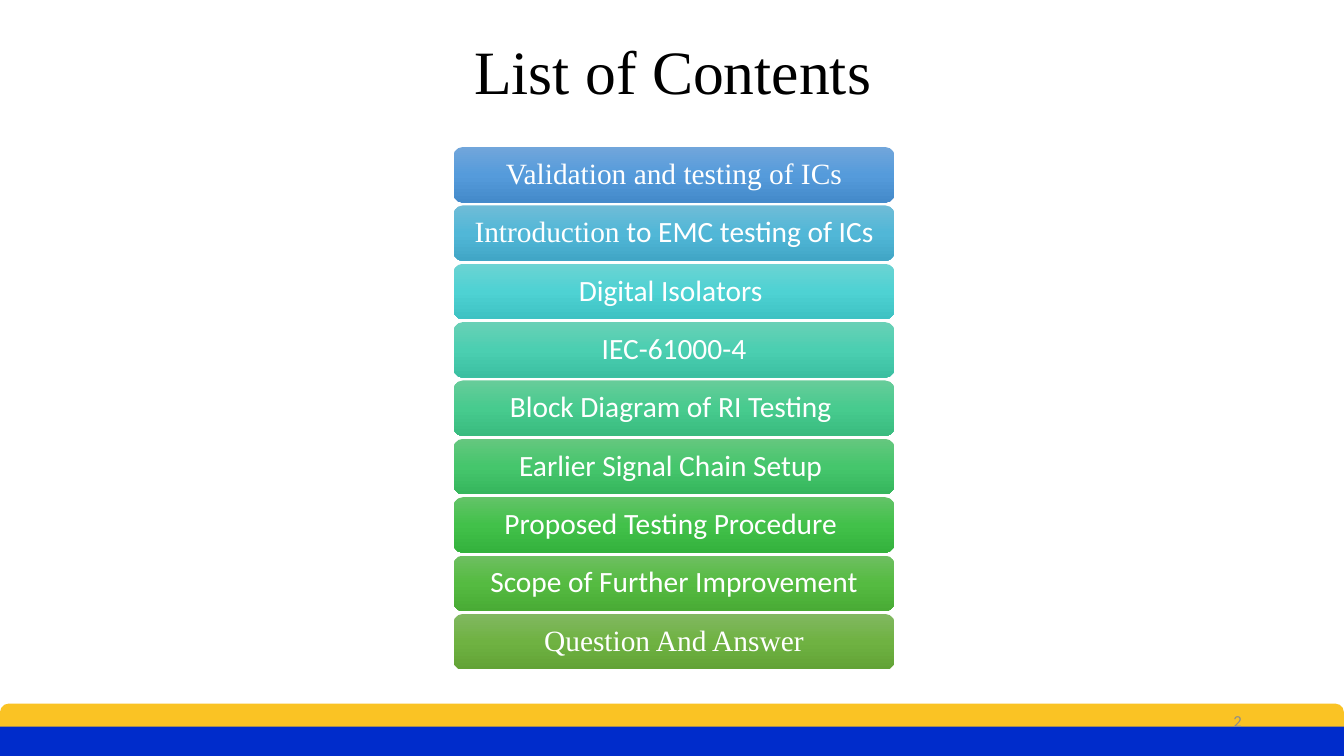
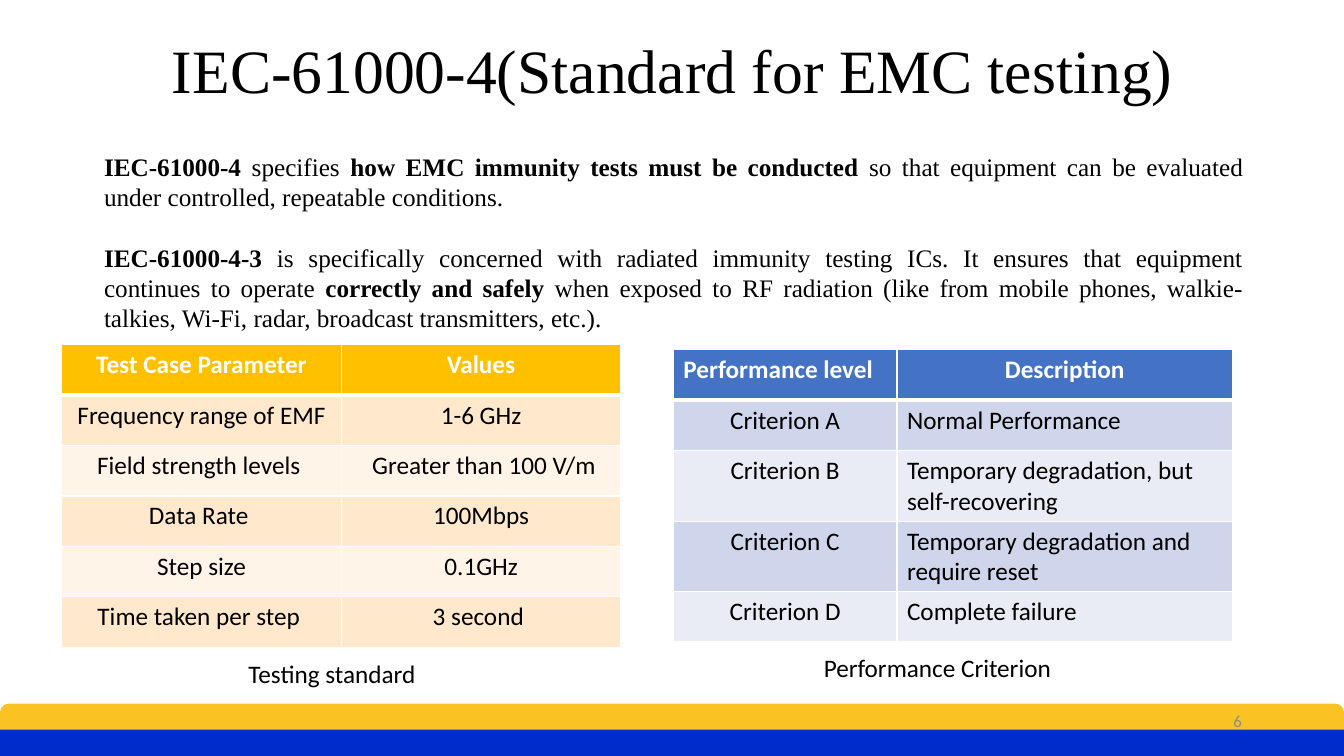
"""Build the contents slide and the IEC-61000-4 slide of a talk on EMC testing."""
import copy
from dataclasses import dataclass

import lxml.etree
import pptx
import pptx.dml.color
import pptx.enum.dml
import pptx.enum.shapes
import pptx.enum.text
import pptx.oxml.ns
import pptx.shapes.autoshape
import pptx.slide
import pptx.table
import pptx.text.text
import pptx.util

WIDTH, HEIGHT = pptx.util.Inches(13.33), pptx.util.Inches(7.5)
SERIF, SANS = "Times New Roman", "Calibri"
BLACK, WHITE, GREY = "000000", "FFFFFF", "8C8C8C"
YELLOW, BLUE = "FAC324", "002CCB"
ALIGN = pptx.enum.text.PP_ALIGN
ANCHOR = pptx.enum.text.MSO_ANCHOR
SHAPE = pptx.enum.shapes.MSO_SHAPE
TITLE_ONLY = 5


@dataclass(frozen=True)
class Area:
    """A place on the slide, in percent of its width and height."""
    left: float
    top: float
    width: float
    height: float

    def box(self) -> tuple[int, int, int, int]:
        """Return left, top, width and height as lengths."""
        return across(self.left), down(self.top), across(self.width), down(self.height)


@dataclass(frozen=True)
class Style:
    """The look of a stretch of text."""
    size: float
    font: str = SANS
    color: str = BLACK
    bold: bool = False


@dataclass(frozen=True)
class Span:
    """A run of text with its style."""
    text: str
    style: Style


@dataclass(frozen=True)
class Topic:
    """A bar of the contents list with its gradient from top to bottom."""
    spans: tuple[Span, ...]
    shades: tuple[str, str, str]


@dataclass(frozen=True)
class Grid:
    """A table with its caption, column shares, colours and alignments."""
    area: Area
    columns: tuple[float, ...]
    header_fill: str
    band_fills: tuple[str, str]
    header_aligns: tuple[ALIGN, ...]
    body_aligns: tuple[ALIGN, ...]
    rows: tuple[tuple[str, ...], ...]
    caption: str
    caption_area: Area


TITLE = Style(44, SERIF)
TOPIC_SANS, TOPIC_SERIF = Style(21, SANS, WHITE), Style(21, SERIF, WHITE)
PLAIN, STRONG = Style(18, SERIF), Style(18, SERIF, bold=True)
CELL, HEADER = Style(18), Style(18, color=WHITE, bold=True)
PAGE_NUMBER = Style(12, color=GREY)

FIRST_TOPIC = Area(33.75, 19.45, 32.8, 7.35)
TOPIC_PITCH = 7.72
TOPICS = (
    Topic((Span("Validation and testing of ICs", TOPIC_SERIF),), ("71A6DB", "559BDB", "448ACA")),
    Topic((Span("Introduction", TOPIC_SERIF), Span(" to EMC testing of ICs", TOPIC_SANS)),
          ("6FBCD7", "51B7D7", "41A6C6")),
    Topic((Span("Digital Isolators ", TOPIC_SANS),), ("6CD3D3", "4ED2D3", "3EC2C3")),
    Topic((Span("IEC-61000-4", TOPIC_SANS),), ("69D0B6", "4BCFB1", "3BBFA1")),
    Topic((Span("Block Diagram of RI Testing ", TOPIC_SANS),), ("67CC9A", "47CB8E", "39BB7F")),
    Topic((Span("Earlier Signal Chain Setup ", TOPIC_SANS),), ("65C77F", "45C66C", "36B65D")),
    Topic((Span("Proposed Testing Procedure ", TOPIC_SANS),), ("63C368", "42C14A", "34B23D")),
    Topic((Span("Scope of Further Improvement", TOPIC_SANS),), ("6EBF61", "55BB41", "49AB35")),
    Topic((Span("Question And Answer", TOPIC_SERIF),), ("81B861", "6FB242", "62A336")),
)

STANDARD_AREA = Area(7, 19.33, 86.25, 29.6)
STANDARD = (
    (Span("IEC-61000-4 ", STRONG), Span("specifies ", PLAIN),
     Span("how EMC immunity tests must be conducted", STRONG),
     Span(" so that equipment can be evaluated under controlled, repeatable conditions.", PLAIN)),
    (Span("IEC-61000-4-3", STRONG),
     Span(" is specifically concerned with radiated immunity testing ICs. It ensures that "
          "equipment continues to operate ", PLAIN),
     Span("correctly and safely", STRONG),
     Span(" when exposed to RF radiation (like from mobile phones, walkie-talkies, Wi-Fi, "
          "radar, broadcast transmitters, etc.).", PLAIN)),
)

GRIDS = (
    Grid(Area(4.6, 45.6, 41.6, 40), (0.5, 0.5), "FFC000", ("FFE8CC", "FFF4E7"),
         (ALIGN.CENTER, ALIGN.CENTER), (ALIGN.CENTER, ALIGN.CENTER),
         (("Test Case Parameter", "Values"),
          ("Frequency range of EMF", "1-6 GHz"),
          ("Field strength levels ", " Greater than 100 V/m"),
          ("Data Rate ", "100Mbps"),
          ("Step size", "0.1GHz"),
          ("Time taken per step ", "3 second ")),
         "Testing standard", Area(13.3, 86.4, 22.8, 5.33)),
    Grid(Area(50.1, 46.27, 41.6, 33.33), (0.4, 0.6), "4472C4", ("CFD5EA", "E9EBF5"),
         (ALIGN.LEFT, ALIGN.CENTER), (ALIGN.CENTER, ALIGN.LEFT),
         (("Performance level", "Description"),
          ("Criterion A", "Normal Performance"),
          ("Criterion B", "Temporary degradation, but self-recovering"),
          ("Criterion C", "Temporary degradation and require reset"),
          ("Criterion D", "Complete failure")),
         "Performance Criterion", Area(58.35, 85.6, 22.8, 5.33)),
)


def across(percent: float) -> int:
    """Turn a share of the slide width into a length."""
    return round(WIDTH * percent / 100)


def down(percent: float) -> int:
    """Turn a share of the slide height into a length."""
    return round(HEIGHT * percent / 100)


def rgb(color: str) -> pptx.dml.color.RGBColor:
    """Turn a hex string into a colour."""
    return pptx.dml.color.RGBColor.from_string(color)


def write(paragraph: pptx.text.text._Paragraph, spans: tuple[Span, ...], align: ALIGN) -> None:
    """Add the spans to a paragraph run by run."""
    paragraph.alignment = align
    for span in spans:
        run = paragraph.add_run()
        run.text = span.text
        run.font.name = span.style.font
        run.font.size = pptx.util.Pt(span.style.size)
        run.font.bold = span.style.bold
        run.font.color.rgb = rgb(span.style.color)


def add_text(slide: pptx.slide.Slide, area: Area, paragraphs: tuple[tuple[Span, ...], ...],
             align: ALIGN, anchor: ANCHOR = ANCHOR.TOP, gap: float = 0) -> None:
    """Add a wrapped text box with a gap in points between paragraphs."""
    frame = slide.shapes.add_textbox(*area.box()).text_frame
    frame.word_wrap = True
    frame.vertical_anchor = anchor
    for index, spans in enumerate(paragraphs):
        paragraph = frame.add_paragraph() if index else frame.paragraphs[0]
        if index:
            paragraph.space_before = pptx.util.Pt(gap)
        write(paragraph, spans, align)


def add_rounded(slide: pptx.slide.Slide, area: Area) -> pptx.shapes.autoshape.Shape:
    """Add a rounded rectangle without line or shadow."""
    rounded = slide.shapes.add_shape(SHAPE.ROUNDED_RECTANGLE, *area.box())
    rounded.shadow.inherit = False
    rounded.line.fill.background()
    return rounded


def add_band(slide: pptx.slide.Slide, area: Area, color: str) -> None:
    """Add one footer band."""
    band = add_rounded(slide, area)
    band.fill.solid()
    band.fill.fore_color.rgb = rgb(color)


def add_slide(deck: pptx.presentation.Presentation, title: str, title_top: float) -> pptx.slide.Slide:
    """Add a slide with its formatted title."""
    slide = deck.slides.add_slide(deck.slide_layouts[TITLE_ONLY])
    heading = slide.shapes.title
    heading.left, heading.top, heading.width, heading.height = Area(6.95, title_top, 86.25, 19.33).box()
    heading.text_frame.vertical_anchor = ANCHOR.MIDDLE
    paragraph = heading.text_frame.paragraphs[0]
    paragraph.line_spacing = 0.9
    write(paragraph, (Span(title, TITLE),), ALIGN.CENTER)
    return slide


def add_footer(slide: pptx.slide.Slide, number: str, blue_top: float) -> None:
    """Add the two footer bands and the page number."""
    add_band(slide, Area(0, 93.07, 100, 6.93), YELLOW)
    add_band(slide, Area(-0.8, blue_top, 101.7, 5.73), BLUE)
    add_text(slide, Area(70.65, 92.67, 22.5, 5.33), ((Span(number, PAGE_NUMBER),),),
             ALIGN.RIGHT, ANCHOR.MIDDLE)


def add_topic(slide: pptx.slide.Slide, topic: Topic, row: int) -> None:
    """Add one gradient bar of the contents list."""
    top = FIRST_TOPIC.top + row * TOPIC_PITCH
    bar = add_rounded(slide, Area(FIRST_TOPIC.left, top, FIRST_TOPIC.width, FIRST_TOPIC.height))
    bar.fill.gradient()
    bar.fill.gradient_angle = 270
    stops = bar.element.spPr.find(".//" + pptx.oxml.ns.qn("a:gsLst"))
    stops.append(copy.deepcopy(stops[-1]))
    for stop, position, shade in zip(bar.fill.gradient_stops, (0, 0.5, 1), topic.shades):
        stop.position = position
        stop.color.rgb = rgb(shade)
    frame = bar.text_frame
    frame.word_wrap = True
    frame.vertical_anchor = ANCHOR.MIDDLE
    frame.paragraphs[0].line_spacing = 0.9
    write(frame.paragraphs[0], topic.spans, ALIGN.CENTER)


def add_borders(cell: pptx.table._Cell, top: float, bottom: float) -> None:
    """Give a cell white borders, the sides one point wide."""
    qn = pptx.oxml.ns.qn
    properties = cell._tc.get_or_add_tcPr()
    for side, points in (("L", 1), ("R", 1), ("T", top), ("B", bottom)):
        border = lxml.etree.SubElement(properties, qn("a:ln" + side), w=str(pptx.util.Pt(points)))
        fill = lxml.etree.SubElement(border, qn("a:solidFill"))
        lxml.etree.SubElement(fill, qn("a:srgbClr"), val=WHITE)


def add_grid(slide: pptx.slide.Slide, grid: Grid) -> None:
    """Add a banded table and its caption."""
    table = slide.shapes.add_table(len(grid.rows), len(grid.columns), *grid.area.box()).table
    for column, share in zip(table.columns, grid.columns):
        column.width = across(grid.area.width * share)
    for row, texts in enumerate(grid.rows):
        header = row == 0
        aligns = grid.header_aligns if header else grid.body_aligns
        color = grid.header_fill if header else grid.band_fills[(row - 1) % 2]
        for column, (text, align) in enumerate(zip(texts, aligns)):
            cell = table.cell(row, column)
            add_borders(cell, 3 if row == 1 else 1, 3 if header else 1)
            cell.fill.solid()
            cell.fill.fore_color.rgb = rgb(color)
            write(cell.text_frame.paragraphs[0], (Span(text, HEADER if header else CELL),), align)
    add_text(slide, grid.caption_area, ((Span(grid.caption, CELL),),), ALIGN.CENTER)


def main() -> None:
    """Build and save both slides."""
    deck = pptx.Presentation()
    deck.slide_width, deck.slide_height = WIDTH, HEIGHT

    contents = add_slide(deck, "List of Contents", 0.25)
    for row, topic in enumerate(TOPICS):
        add_topic(contents, topic, row)
    add_footer(contents, "2", 96.13)

    standard = add_slide(deck, "IEC-61000-4(Standard for EMC testing)", 0)
    add_text(standard, STANDARD_AREA, STANDARD, ALIGN.JUSTIFY, gap=21.6)
    add_footer(standard, "6", 96.53)
    for grid in GRIDS:
        add_grid(standard, grid)

    deck.save("out.pptx")


if __name__ == "__main__":
    main()
